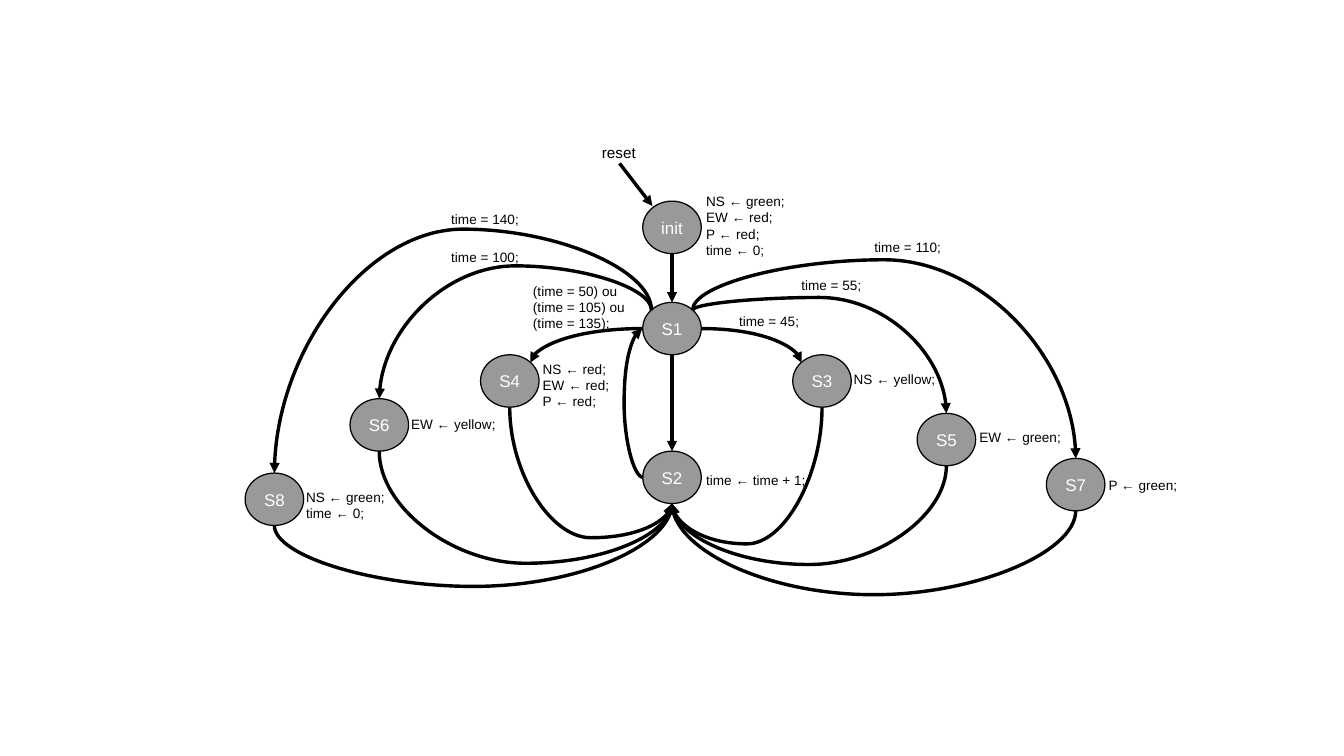
from lxml.etree import SubElement
from pptx import Presentation
from pptx.dml.color import RGBColor
from pptx.enum.shapes import MSO_CONNECTOR, MSO_SHAPE
from pptx.enum.text import MSO_ANCHOR, MSO_AUTO_SIZE, PP_ALIGN
from pptx.oxml.ns import qn
from pptx.util import Inches, Pt

WIDE, HIGH = 0.48, 0.43

# Left and top of each state
STATES = {
    "init": (5.27, 1.65), "S1": (5.27, 2.48), "S2": (5.27, 3.70),
    "S3": (6.50, 2.91), "S4": (3.94, 2.91), "S5": (7.52, 3.39),
    "S6": (2.87, 3.27), "S7": (8.58, 3.76), "S8": (2.01, 3.88),
}

# Points on a state's outline, as shares of its width and height
PORTS = {
    "top": (0.5, 0), "bottom": (0.5, 1), "left": (0, 0.5), "right": (1, 0.5),
    "nw": (0.15, 0.15), "ne": (0.85, 0.15),
}

# Rotation and flips of an arc that leaves vertically, by (down, right)
TURNS = {
    (True, False): (90, ""), (True, True): (270, "H"),
    (False, False): (270, "V"), (False, True): (90, "HV"),
}

# Arcs: from state, port, to state, port, height of the bend
ARCS = [
    ("S1", "ne", "S5", "top", 2.44), ("S1", "ne", "S7", "top", 2.13),
    ("S1", "nw", "S6", "top", 2.18), ("S1", "nw", "S8", "top", 1.88),
    ("S3", "bottom", "S2", "bottom", 4.46),
    ("S4", "bottom", "S2", "bottom", 4.41),
    ("S5", "bottom", "S2", "bottom", 4.63),
    ("S6", "bottom", "S2", "bottom", 4.62),
    ("S7", "bottom", "S2", "bottom", 4.88),
    ("S8", "bottom", "S2", "bottom", 4.81),
]

# Labels: left, top, width, height, text
LABELS = [
    (5.79, 1.57, 0.98, 0.56, "NS ← green;\nEW ← red;\nP ← red;\ntime ← 0;"),
    (5.79, 3.86, 0.86, 0.15, "time ← time + 1;"),
    (7.00, 2.98, 0.87, 0.25, "NS ← yellow;"),
    (4.45, 2.97, 0.63, 0.38, "NS ← red;\nEW ← red;\nP ← red;"),
    (8.03, 3.46, 0.87, 0.25, "EW ← green;"),
    (3.37, 3.35, 0.79, 0.25, "EW ← yellow;"),
    (9.09, 3.90, 0.59, 0.16, "P ← green;"),
    (2.51, 4.02, 0.79, 0.25, "NS ← green;\ntime ← 0;"),
    (6.06, 2.56, 0.55, 0.15, "time = 45;"),
    (6.57, 2.24, 0.55, 0.20, "time = 55;"),
    (7.17, 1.92, 0.63, 0.21, "time = 110;"),
    (3.70, 2.00, 0.63, 0.21, "time = 100;"),
    (3.70, 1.69, 0.63, 0.21, "time = 140;"),
    (4.37, 2.33, 0.82, 0.38,
     "(time = 50) ou\n(time = 105) ou\n(time = 135);"),
]


def color(code):
    return RGBColor.from_string(code)


def port(name, side):
    left, top = STATES[name]
    across, down = PORTS[side]
    return left + across * WIDE, top + down * HIGH


def write(frame, text, size, code, align):
    frame.text = text
    frame.vertical_anchor = MSO_ANCHOR.MIDDLE
    for line in frame.paragraphs:
        line.alignment = align
        line.font.name = "Arial"
        line.font.size = Pt(size)
        line.font.color.rgb = color(code)


def state(slide, name):
    left, top = STATES[name]
    oval = slide.shapes.add_shape(MSO_SHAPE.OVAL, Inches(left), Inches(top),
                                  Inches(WIDE), Inches(HIGH))
    oval.shadow.inherit = False
    oval.fill.solid()
    oval.fill.fore_color.rgb = color("999999")
    oval.line.color.rgb = color("000000")
    oval.line.width = Pt(0)
    write(oval.text_frame, name, 10, "FFFFFF", PP_ALIGN.CENTER)
    oval.text_frame.word_wrap = False


def label(slide, left, top, width, height, text, size=8, align=PP_ALIGN.LEFT):
    box = slide.shapes.add_textbox(Inches(left), Inches(top),
                                   Inches(width), Inches(height))
    frame = box.text_frame
    frame.margin_left = frame.margin_right = 0
    frame.margin_top = frame.margin_bottom = 0
    frame.word_wrap = True
    frame.auto_size = MSO_AUTO_SIZE.SHAPE_TO_FIT_TEXT
    write(frame, text, size, "000000", align)


def arrow(slide, start, end, kind=MSO_CONNECTOR.STRAIGHT):
    link = slide.shapes.add_connector(
        kind, *(Inches(value) for value in (*start, *end)))
    link.line.color.rgb = color("000000")
    link.line.width = Pt(0)
    SubElement(link.line._get_or_add_ln(), qn("a:tailEnd"), type="triangle")
    props = link._element.spPr
    SubElement(props, qn("a:effectLst"))
    return props


def curve(slide, start, end, wide, high, turn, flips, bend=None):
    """Draw a curve of wide by high, turned about its middle."""
    x = (start[0] + end[0]) / 2
    y = (start[1] + end[1]) / 2
    props = arrow(slide, (x - wide / 2, y - high / 2),
                  (x + wide / 2, y + high / 2), MSO_CONNECTOR.CURVE)
    frame = props.find(qn("a:xfrm"))
    frame.set("rot", str(turn * 60000))
    for flip in flips:
        frame.set("flip" + flip, "1")
    shape = props.find(qn("a:prstGeom"))
    if bend is None:
        shape.set("prst", "curvedConnector2")
    else:
        SubElement(shape.find(qn("a:avLst")), qn("a:gd"), name="adj1",
                   fmla=f"val {round(bend * 100000)}")


def arc(slide, start, end, level):
    across, down = end[0] - start[0], end[1] - start[1]
    turn, flips = TURNS[down > 0, across > 0]
    curve(slide, start, end, abs(down), abs(across), turn, flips,
          (level - start[1]) / down)


def main():
    deck = Presentation()
    deck.slide_width, deck.slide_height = Inches(11.02), Inches(6.2)
    slide = deck.slides.add_slide(deck.slide_layouts[6])

    # States
    for name in STATES:
        state(slide, name)

    # Straight steps
    arrow(slide, (5.08, 1.34), (5.35, 1.69))
    for first, last in (("init", "S1"), ("S1", "S2")):
        arrow(slide, port(first, "bottom"), port(last, "top"))

    # Arcs out of S1 and back into S2
    for first, out, last, into, level in ARCS:
        arc(slide, port(first, out), port(last, into), level)

    # Short bends to S3 and S4
    for side, last, into, turn, flips in (("right", "S3", "nw", 0, ""),
                                          ("left", "S4", "ne", 180, "V")):
        start, end = port("S1", side), port(last, into)
        curve(slide, start, end, abs(end[0] - start[0]), end[1] - start[1],
              turn, flips)

    # Loop from S2 back to S1
    start, end = port("S2", "left"), port("S1", "left")
    curve(slide, start, end, 0.01, start[1] - end[1], 180, "", 16)

    # Labels
    label(slide, 4.76, 1.18, 0.63, 0.14, "reset", 9, PP_ALIGN.CENTER)
    for item in LABELS:
        label(slide, *item)

    deck.save("out.pptx")


if __name__ == "__main__":
    main()
